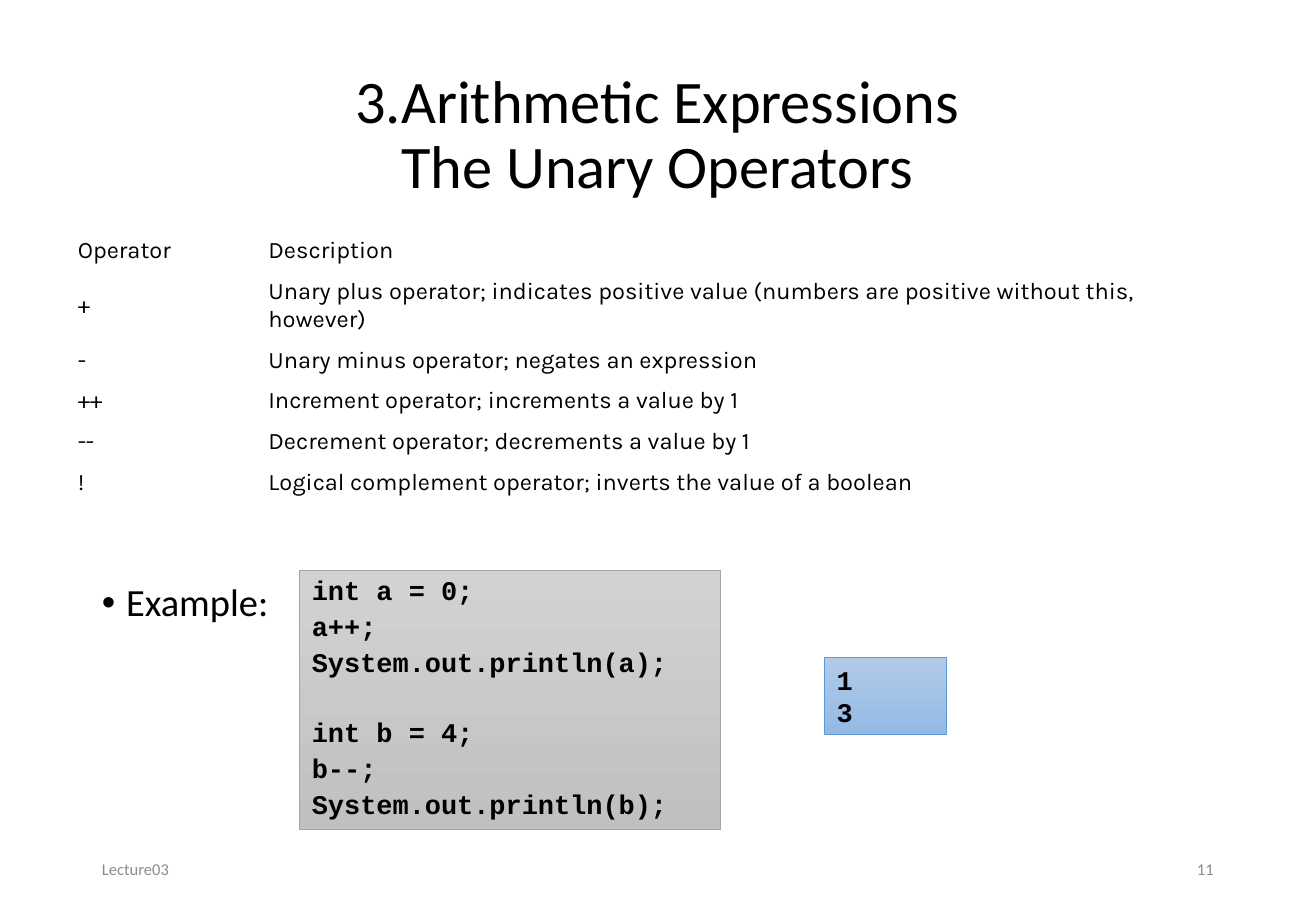
"""Build the lecture slide on Java unary operators."""
from lxml import etree
from pptx import Presentation
from pptx.dml.color import RGBColor
from pptx.enum import shapes, text
from pptx.oxml import ns
from pptx.util import Pt

BLACK = RGBColor(0x00, 0x00, 0x00)
FOOTER_GRAY = RGBColor(0x8C, 0x8C, 0x8C)
CODE_TOP = RGBColor(0xD2, 0xD2, 0xD2)
CODE_BOTTOM = RGBColor(0xC0, 0xC0, 0xC0)
CODE_LINE = RGBColor(0xA5, 0xA5, 0xA5)
OUTPUT_TOP = RGBColor(0xB1, 0xCB, 0xE9)
OUTPUT_BOTTOM = RGBColor(0x93, 0xB9, 0xE4)
OUTPUT_LINE = RGBColor(0x5B, 0x9B, 0xD5)

LEFT, CENTER, RIGHT = text.PP_ALIGN.LEFT, text.PP_ALIGN.CENTER, text.PP_ALIGN.RIGHT
TOP, MIDDLE = text.MSO_ANCHOR.TOP, text.MSO_ANCHOR.MIDDLE


def write(tf, lines, size, font="Calibri", color=BLACK, bold=False, align=LEFT,
          anchor=TOP, spacing=1.0, gaps=None, bullet=None):
    tf.word_wrap = True
    tf.vertical_anchor = anchor
    for i, line in enumerate(lines):
        p = tf.paragraphs[0] if i == 0 else tf.add_paragraph()
        p.text = line
        p.alignment = align
        p.line_spacing = spacing
        p.space_before = Pt(gaps[i] if gaps else 0)
        if bullet:
            pPr = p._p.get_or_add_pPr()
            pPr.set("marL", str(Pt(14.4)))
            pPr.set("indent", str(-Pt(14.4)))
            etree.SubElement(pPr, ns.qn("a:buFont")).set("typeface", "Arial")
            etree.SubElement(pPr, ns.qn("a:buChar")).set("char", bullet)
        for r in p.runs:
            r.font.name = font
            r.font.size = Pt(size)
            r.font.bold = bold
            r.font.color.rgb = color


prs = Presentation()
prs.slide_width, prs.slide_height = Pt(780), Pt(540)
s = prs.slides.add_slide(prs.slide_layouts[6])

text_boxes = [
    ((53.3, 28.8, 672.5, 104.4), "3.Arithmetic Expressions\vThe Unary Operators",
     dict(size=35.8, align=CENTER, anchor=MIDDLE, spacing=0.9)),
    ((53.3, 342.5, 124, 36), "Example:", dict(size=22.8, spacing=0.9, bullet="•")),
    ((53.3, 500.4, 175.7, 28.8), "Lecture03",
     dict(size=9.8, color=FOOTER_GRAY, anchor=MIDDLE)),
    ((550.8, 500.4, 175.7, 28.8), "11",
     dict(size=9.8, color=FOOTER_GRAY, anchor=MIDDLE, align=RIGHT)),
]
for box, words, style in text_boxes:
    write(s.shapes.add_textbox(*map(Pt, box)).text_frame, [words], **style)

operators = [
    ("Operator", "Description"),
    ("+", "Unary plus operator; indicates positive value "
          "(numbers are positive without this, however)"),
    ("-", "Unary minus operator; negates an expression"),
    ("++", "Increment operator; increments a value by 1"),
    ("--", "Decrement operator; decrements a value by 1"),
    ("!", "Logical complement operator; inverts the value of a boolean"),
]
table = s.shapes.add_table(len(operators), 2, Pt(38.9), Pt(136.8), Pt(702), Pt(157)).table
table.first_row = table.horz_banding = False
table.columns[0].width, table.columns[1].width = Pt(113), Pt(589)
for i, row in enumerate(operators):
    table.rows[i].height = Pt(40 if i == 1 else 23.5)
    for j, words in enumerate(row):
        cell = table.cell(i, j)
        cell.fill.background()
        cell.vertical_anchor = MIDDLE
        write(cell.text_frame, [words], size=14, font="Karla")

code = ["int a = 0;", "a++;", "System.out.println(a);",
        "int b = 4;", "b--;", "System.out.println(b);"]
panels = [
    ((177.8, 338.4, 249.1, 153.4), (CODE_TOP, CODE_BOTTOM, CODE_LINE), code,
     dict(spacing=0.9, gaps=[0, 4.1, 4.1, 24.6, 4.1, 4.1])),
    ((488.9, 389.5, 72, 46.1), (OUTPUT_TOP, OUTPUT_BOTTOM, OUTPUT_LINE), ["1", "3"], {}),
]
for box, (top_color, bottom_color, line_color), lines, style in panels:
    sp = s.shapes.add_shape(shapes.MSO_SHAPE.RECTANGLE, *map(Pt, box))
    sp.shadow.inherit = False
    sp.fill.gradient()
    sp.fill.gradient_angle = 270
    for stop, color in zip(sp.fill.gradient_stops, (top_color, bottom_color)):
        stop.color.rgb = color
    sp.line.color.rgb = line_color
    sp.line.width = Pt(0.5)
    write(sp.text_frame, lines, size=16, font="Courier New", bold=True, **style)

prs.save("out.pptx")
